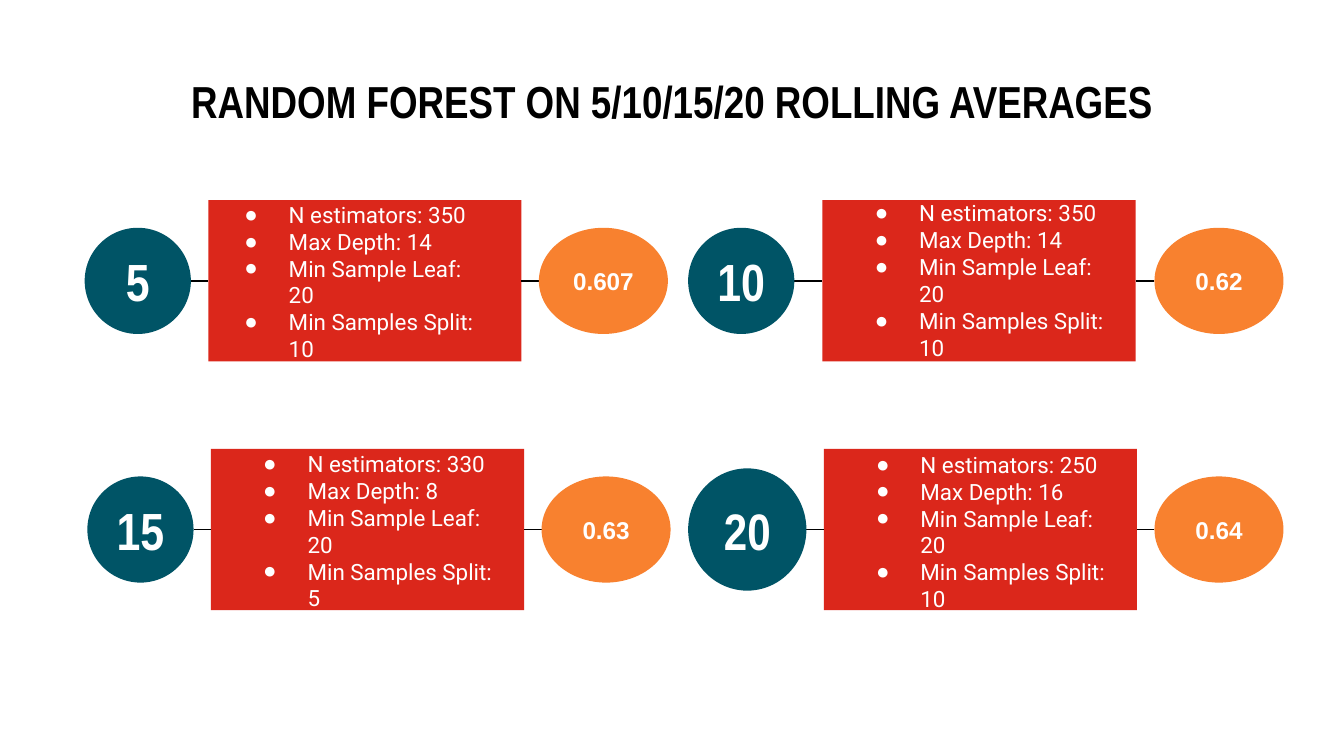
from dataclasses import dataclass

from lxml import etree
from pptx import Presentation
from pptx.dml.color import RGBColor
from pptx.enum import shapes, text
from pptx.oxml.ns import qn
from pptx.util import Inches, Pt


@dataclass(frozen=True)
class Theme:
    ink: str = "000000"
    white: str = "FFFFFF"
    window: str = "005466"
    card: str = "DB271B"
    score: str = "F8812F"
    heading_font: str = "Arial Narrow"
    score_font: str = "Arial"
    body_font: str = "Roboto"
    bullet_font: str = "Arial"
    title_size: float = 24
    window_size: float = 28
    score_size: float = 13
    body_size: float = 12


@dataclass(frozen=True)
class Model:
    """Tuned settings and score for one rolling window; positions in inches."""
    window: int
    estimators: int
    depth: int
    split: int
    score: str
    center_y: float
    window_left: float
    card_left: float
    score_left: float
    list_left: float
    list_top: float
    list_height: float
    list_width: float = 2.09
    window_width: float = 0.79
    window_height: float = 0.79
    window_size: float = 28
    leaf: int = 20


THEME = Theme()
SLIDE_WIDTH = 10
SLIDE_HEIGHT = SLIDE_WIDTH * 9 / 16
TOP_ROW, BOTTOM_ROW = 2.09, 3.94
CARD_WIDTH, CARD_HEIGHT = 2.33, 1.2
SCORE_WIDTH, SCORE_HEIGHT = 0.96, 0.79
MODELS = [
    Model(5, 350, 14, 10, "0.607", TOP_ROW, 0.63, 1.55, 4.01, 1.55, 1.57, 1.05,
          list_width=2.21),
    Model(10, 350, 14, 10, "0.62", TOP_ROW, 5.12, 6.12, 8.59, 6.24, 1.6, 0.97),
    Model(15, 330, 8, 5, "0.63", BOTTOM_ROW, 0.65, 1.57, 4.03, 1.69, 3.67, 0.56),
    Model(20, 250, 16, 10, "0.64", BOTTOM_ROW, 5.12, 6.13, 8.59, 6.25, 3.5, 0.91,
          window_width=0.88, window_height=0.91, window_size=27.5),
]


def set_values(target, values):
    for name, value in values.items():
        setattr(target, name, value)


def format_font(font, name, size, color, bold=False):
    set_values(font, {"name": name, "size": Pt(size), "bold": bold})
    font.color.rgb = RGBColor.from_string(color)


def format_frame(frame, anchor=text.MSO_ANCHOR.MIDDLE):
    margins = dict.fromkeys(
        ("margin_left", "margin_top", "margin_right", "margin_bottom"), Inches(0.1))
    set_values(frame, {"word_wrap": True, "auto_size": text.MSO_AUTO_SIZE.NONE,
                       "vertical_anchor": anchor, **margins})


def add_title(slide, wording):
    title = slide.shapes.title
    set_values(title, {"left": Inches(0.5), "top": Inches(0.45),
                       "width": Inches(9), "height": Inches(0.63)})
    format_frame(title.text_frame, text.MSO_ANCHOR.TOP)
    paragraph = title.text_frame.paragraphs[0]
    paragraph.text = wording
    paragraph.alignment = text.PP_ALIGN.CENTER
    format_font(paragraph.font, THEME.heading_font, THEME.title_size, THEME.ink, True)


def add_block(slide, kind, left, center_y, width, height, color):
    """Add a plain filled shape centred vertically on center_y."""
    shape = slide.shapes.add_shape(kind, Inches(left), Inches(center_y - height / 2),
                                   Inches(width), Inches(height))
    shape.shadow.inherit = False
    shape.fill.solid()
    shape.fill.fore_color.rgb = RGBColor.from_string(color)
    shape.line.fill.background()
    return shape


def add_card(slide, model):
    card = add_block(slide, shapes.MSO_SHAPE.ROUNDED_RECTANGLE, model.card_left,
                     model.center_y, CARD_WIDTH, CARD_HEIGHT, THEME.card)
    card.adjustments[0] = 0


def add_badge(slide, label, left, center_y, width, height, color, font, size):
    shape = add_block(slide, shapes.MSO_SHAPE.OVAL, left, center_y, width, height, color)
    format_frame(shape.text_frame)
    paragraph = shape.text_frame.paragraphs[0]
    paragraph.text = label
    paragraph.alignment = text.PP_ALIGN.CENTER
    format_font(paragraph.font, font, size, THEME.white, True)


def add_link(slide, start, end, y):
    connector = slide.shapes.add_connector(
        shapes.MSO_CONNECTOR.STRAIGHT, Inches(start), Inches(y), Inches(end), Inches(y))
    connector.line.color.rgb = RGBColor.from_string(THEME.ink)
    connector.line.width = Pt(0.75)
    etree.SubElement(connector._element.spPr, qn("a:effectLst"))


def add_bullet(paragraph):
    properties = paragraph._p.get_or_add_pPr()
    properties.set("marL", str(Inches(0.5)))
    properties.set("indent", str(-Inches(0.33)))
    color = etree.SubElement(properties, qn("a:buClr"))
    etree.SubElement(color, qn("a:srgbClr"), val=THEME.white)
    etree.SubElement(properties, qn("a:buFont"), typeface=THEME.bullet_font)
    etree.SubElement(properties, qn("a:buChar"), char="●")


def add_settings(slide, model):
    box = slide.shapes.add_textbox(Inches(model.list_left), Inches(model.list_top),
                                   Inches(model.list_width), Inches(model.list_height))
    frame = box.text_frame
    format_frame(frame)
    settings = [("N estimators", model.estimators), ("Max Depth", model.depth),
                ("Min Sample Leaf", model.leaf), ("Min Samples Split", model.split)]
    for index, (name, value) in enumerate(settings):
        paragraph = frame.add_paragraph() if index else frame.paragraphs[0]
        paragraph.text = f"{name}: {value}"
        add_bullet(paragraph)
        format_font(paragraph.font, THEME.body_font, THEME.body_size, THEME.white)


def add_model(slide, model):
    y = model.center_y
    add_card(slide, model)
    add_settings(slide, model)
    add_link(slide, model.window_left + model.window_width, model.card_left, y)
    add_link(slide, model.card_left + CARD_WIDTH, model.score_left, y)
    add_badge(slide, str(model.window), model.window_left, y, model.window_width,
              model.window_height, THEME.window, THEME.heading_font, model.window_size)
    add_badge(slide, model.score, model.score_left, y, SCORE_WIDTH, SCORE_HEIGHT,
              THEME.score, THEME.score_font, THEME.score_size)


def main():
    presentation = Presentation()
    set_values(presentation, {"slide_width": Inches(SLIDE_WIDTH),
                              "slide_height": Inches(SLIDE_HEIGHT)})
    slide = presentation.slides.add_slide(presentation.slide_layouts[5])
    add_title(slide, "RANDOM FOREST ON 5/10/15/20 ROLLING AVERAGES")
    for model in MODELS:
        add_model(slide, model)
    presentation.save("out.pptx")


if __name__ == "__main__":
    main()
